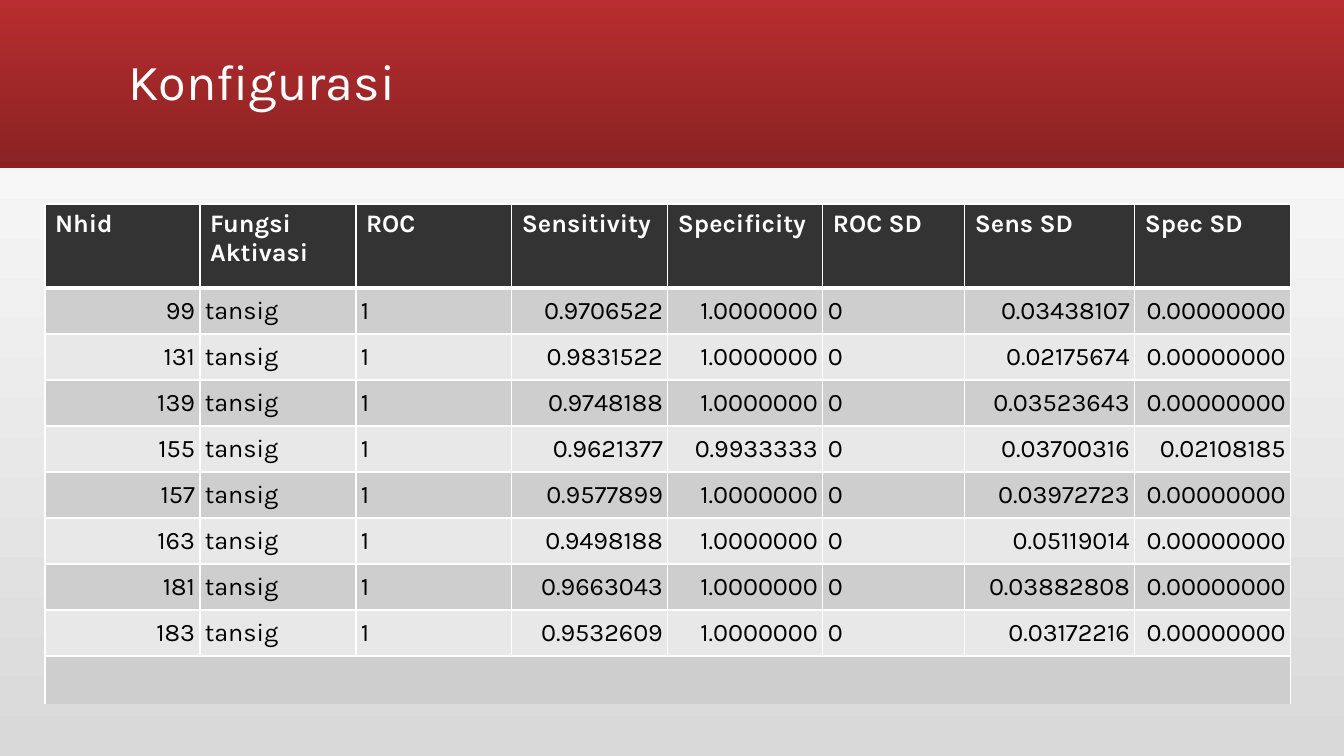
from lxml.etree import SubElement
from pptx import Presentation
from pptx.dml.color import RGBColor
from pptx.enum.shapes import MSO_SHAPE as Shape
from pptx.enum.text import MSO_ANCHOR as Anchor, PP_ALIGN as Align
from pptx.oxml.ns import qn
from pptx.util import Emu, Pt

PX = 914400 / 100.8
FONT = "Karla"
WHITE, BLACK, DARK = "FFFFFF", "000000", "333333"
BANDS = ("CECECE", "E8E8E8")

TABLE_TOP = 204
COLUMN_EDGES = [45, 200, 356, 512, 668, 823, 965, 1135, 1291]
ROW_HEIGHTS = [84] + [46] * 8 + [48]
RIGHT_COLUMNS = {0, 3, 4, 6, 7}
HEADERS = ["Nhid", "Fungsi Aktivasi", "ROC", "Sensitivity",
           "Specificity", "ROC SD", "Sens SD", "Spec SD"]
# Nhid, Sensitivity, Specificity, Sens SD, Spec SD
RESULTS = [
    ("99", "0.9706522", "1.0000000", "0.03438107", "0.00000000"),
    ("131", "0.9831522", "1.0000000", "0.02175674", "0.00000000"),
    ("139", "0.9748188", "1.0000000", "0.03523643", "0.00000000"),
    ("155", "0.9621377", "0.9933333", "0.03700316", "0.02108185"),
    ("157", "0.9577899", "1.0000000", "0.03972723", "0.00000000"),
    ("163", "0.9498188", "1.0000000", "0.05119014", "0.00000000"),
    ("181", "0.9663043", "1.0000000", "0.03882808", "0.00000000"),
    ("183", "0.9532609", "1.0000000", "0.03172216", "0.00000000"),
]


def px(length):
    return Emu(round(length * PX))


def color(hex_code):
    return RGBColor.from_string(hex_code)


def set_attributes(target, values):
    for name, value in values.items():
        setattr(target, name, value)


def set_gradient(fill, colors, angle):
    fill.gradient()
    fill.gradient_angle = angle
    for stop, hex_code in zip(fill.gradient_stops, colors):
        stop.color.rgb = color(hex_code)


def write(text_frame, text, size, hex_code, bold=False, align=Align.LEFT):
    paragraph = text_frame.paragraphs[0]
    paragraph.alignment = align
    run = paragraph.add_run()
    run.text = text
    set_attributes(run.font, {"name": FONT, "size": Pt(size), "bold": bold})
    run.font.color.rgb = color(hex_code)
    return paragraph


def set_borders(cell, top=1, bottom=1):
    """White cell borders with widths in points; 0 means no line."""
    properties = cell._tc.get_or_add_tcPr()
    for side, width in {"L": 1, "R": 1, "T": top, "B": bottom}.items():
        line = SubElement(properties, qn(f"a:ln{side}"), w=str(Pt(width)))
        if width:
            fill = SubElement(line, qn("a:solidFill"))
            SubElement(fill, qn("a:srgbClr"), val=WHITE)
        else:
            SubElement(line, qn("a:noFill"))


def set_fill(cell, hex_code):
    cell.fill.solid()
    cell.fill.fore_color.rgb = color(hex_code)


def add_title(slide, text):
    title = slide.shapes.title
    set_attributes(title, {"left": px(118), "top": px(11),
                           "width": px(1109), "height": px(146)})
    title.text_frame.vertical_anchor = Anchor.MIDDLE
    write(title.text_frame, text, 36, WHITE).line_spacing = 0.9

    # Red band behind the title
    band = slide.shapes.add_shape(Shape.RECTANGLE, 0, 0, px(1344), px(168))
    band.shadow.inherit = False
    band.line.fill.background()
    set_gradient(band.fill, ("B82D2F", "8A2223"), 270)
    title.element.addprevious(band.element)


def add_results_table(slide):
    left, right = COLUMN_EDGES[0], COLUMN_EDGES[-1]
    table = slide.shapes.add_table(
        len(ROW_HEIGHTS), len(HEADERS), px(left), px(TABLE_TOP),
        px(right - left), px(sum(ROW_HEIGHTS))).table
    table.horz_banding = False
    for column, start, end in zip(table.columns, COLUMN_EDGES, COLUMN_EDGES[1:]):
        column.width = px(end - start)
    for row, height in zip(table.rows, ROW_HEIGHTS):
        row.height = px(height)

    # Header row
    for cell, text in zip(table.rows[0].cells, HEADERS):
        set_borders(cell, bottom=3)
        set_fill(cell, DARK)
        write(cell.text_frame, text, 18, WHITE, bold=True)

    # Result rows
    margins = {"margin_left": px(5), "margin_right": px(5),
               "margin_top": px(4), "margin_bottom": px(4)}
    for index, (nhid, sens, spec, sens_sd, spec_sd) in enumerate(RESULTS):
        values = [nhid, "tansig", "1", sens, spec, "0", sens_sd, spec_sd]
        for number, (cell, text) in enumerate(
                zip(table.rows[index + 1].cells, values)):
            set_borders(cell, top=1 if index else 3)
            set_fill(cell, BANDS[index % 2])
            set_attributes(cell, {**margins, "vertical_anchor": Anchor.MIDDLE})
            align = Align.RIGHT if number in RIGHT_COLUMNS else Align.LEFT
            write(cell.text_frame, text, 18, BLACK, align=align)

    # Closing row, merged across all columns
    last = len(ROW_HEIGHTS) - 1
    for cell in table.rows[last].cells:
        set_borders(cell, bottom=0)
        set_fill(cell, BANDS[0])
    table.cell(last, 0).merge(table.cell(last, len(HEADERS) - 1))


def main():
    presentation = Presentation()
    set_attributes(presentation, {"slide_width": px(1344),
                                  "slide_height": px(756)})
    slide = presentation.slides.add_slide(presentation.slide_layouts[5])
    set_gradient(slide.background.fill, ("D9D9D9", WHITE), 90)
    add_title(slide, "Konfigurasi")
    add_results_table(slide)
    presentation.save("out.pptx")


if __name__ == "__main__":
    main()
